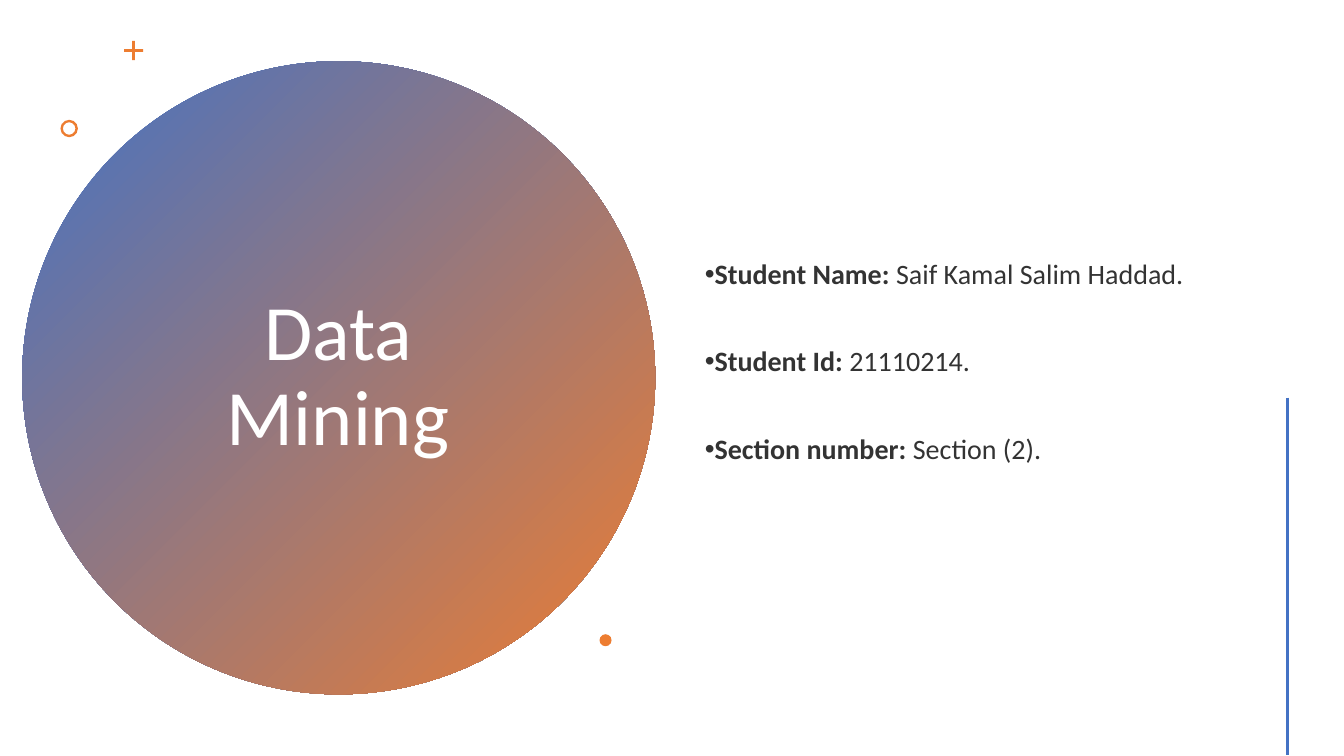
from collections import namedtuple
from dataclasses import dataclass

from lxml.etree import SubElement
from pptx import Presentation
from pptx.dml.color import RGBColor
from pptx.enum.shapes import MSO_CONNECTOR, MSO_SHAPE
from pptx.enum.text import MSO_ANCHOR, PP_ALIGN
from pptx.oxml.ns import qn
from pptx.util import Inches, Pt

Box = namedtuple("Box", "left top width height")


@dataclass(frozen=True)
class Theme:
    font: str = "Calibri"
    blue: RGBColor = RGBColor(0x44, 0x72, 0xC4)
    orange: RGBColor = RGBColor(0xED, 0x7D, 0x31)
    white: RGBColor = RGBColor(0xFF, 0xFF, 0xFF)
    ink: RGBColor = RGBColor(0x33, 0x33, 0x33)
    title_size: int = 56
    body_size: int = 20
    line_spacing: float = 0.9
    paragraph_gap: int = 41
    rule_width: int = 2


THEME = Theme()
DETAILS = [
    ("Student Name: ", "Saif Kamal Salim Haddad."),
    ("Student Id: ", "21110214."),
    ("Section number: ", "Section (2)."),
]
# Preset, left, top and size in percent of the circle, thickness adjustment
ORNAMENTS = [
    (MSO_SHAPE.CROSS, 16.1, -3.2, 3.0, 0.43),
    (MSO_SHAPE.DONUT, 6.05, 9.25, 2.75, 0.14),
    (MSO_SHAPE.OVAL, 91.2, 90.5, 1.9, None),
]


def inside(box, left, top, width, height):
    """Return the part of a box given in percent of its sides."""
    return Box(
        round(box.left + box.width * left / 100),
        round(box.top + box.height * top / 100),
        round(box.width * width / 100),
        round(box.height * height / 100),
    )


def add_plain_shape(page, preset, box):
    shape = page.shapes.add_shape(preset, *box)
    shape.shadow.inherit = False
    shape.line.fill.background()
    return shape


def add_text_frame(page, box):
    frame = page.shapes.add_textbox(*box).text_frame
    frame.word_wrap = True
    frame.vertical_anchor = MSO_ANCHOR.MIDDLE
    return frame


def add_span(para, text, size, color, bold=False):
    span = para.add_run()
    span.text = text
    span.font.name = THEME.font
    span.font.size = Pt(size)
    span.font.bold = bold
    span.font.color.rgb = color


def add_bullet(para):
    properties = para._p.get_or_add_pPr()
    properties.set("marL", "0")
    properties.set("indent", str(-Inches(0.25)))
    SubElement(properties, qn("a:buFont")).set("typeface", "Arial")
    SubElement(properties, qn("a:buChar")).set("char", "•")


def add_title_circle(page, box):
    # Gradient disc
    circle = add_plain_shape(page, MSO_SHAPE.OVAL, box)
    circle.fill.gradient()
    circle.fill.gradient_angle = 315
    for stop, color, position in zip(
        circle.fill.gradient_stops, (THEME.blue, THEME.orange), (0, 1)
    ):
        stop.color.rgb = color
        stop.position = position

    # Title
    frame = add_text_frame(page, inside(box, 18.15, 12.75, 63.55, 74.35))
    frame.margin_left = frame.margin_right = Inches(0.3)
    para = frame.paragraphs[0]
    para.alignment = PP_ALIGN.CENTER
    para.line_spacing = THEME.line_spacing
    add_span(para, "Data Mining", THEME.title_size, THEME.white)

    # Plus, ring and dot around the disc
    for preset, left, top, size, thickness in ORNAMENTS:
        ornament = add_plain_shape(page, preset, inside(box, left, top, size, size))
        ornament.fill.solid()
        ornament.fill.fore_color.rgb = THEME.orange
        if thickness is not None:
            ornament.adjustments[0] = thickness


def add_details(page, box):
    frame = add_text_frame(page, box)
    frame.margin_bottom = Inches(0.37)
    for index, (label, value) in enumerate(DETAILS):
        para = frame.add_paragraph() if index else frame.paragraphs[0]
        para.line_spacing = THEME.line_spacing
        para.space_before = Pt(THEME.paragraph_gap if index else 0)
        add_bullet(para)
        add_span(para, label, THEME.body_size, THEME.ink, bold=True)
        add_span(para, value, THEME.body_size, THEME.ink)


def add_side_rule(page, box):
    rule = page.shapes.add_connector(
        MSO_CONNECTOR.STRAIGHT, box.left, box.top, box.left, box.top + box.height
    )
    rule.line.color.rgb = THEME.blue
    rule.line.width = Pt(THEME.rule_width)
    SubElement(rule._element.spPr, qn("a:effectLst"))


def main():
    deck = Presentation()
    deck.slide_width, deck.slide_height = Inches(13.33), Inches(7.5)
    page = deck.slides.add_slide(deck.slide_layouts[6])
    slide = Box(0, 0, deck.slide_width, deck.slide_height)

    add_title_circle(page, inside(slide, 1.65, 8.1, 47.1, 83.75))
    add_details(page, inside(slide, 51.7, 7.6, 39.15, 85.05))
    add_side_rule(page, inside(slide, 95.8, 52.6, 0, 47.3))
    deck.save("out.pptx")


if __name__ == "__main__":
    main()
